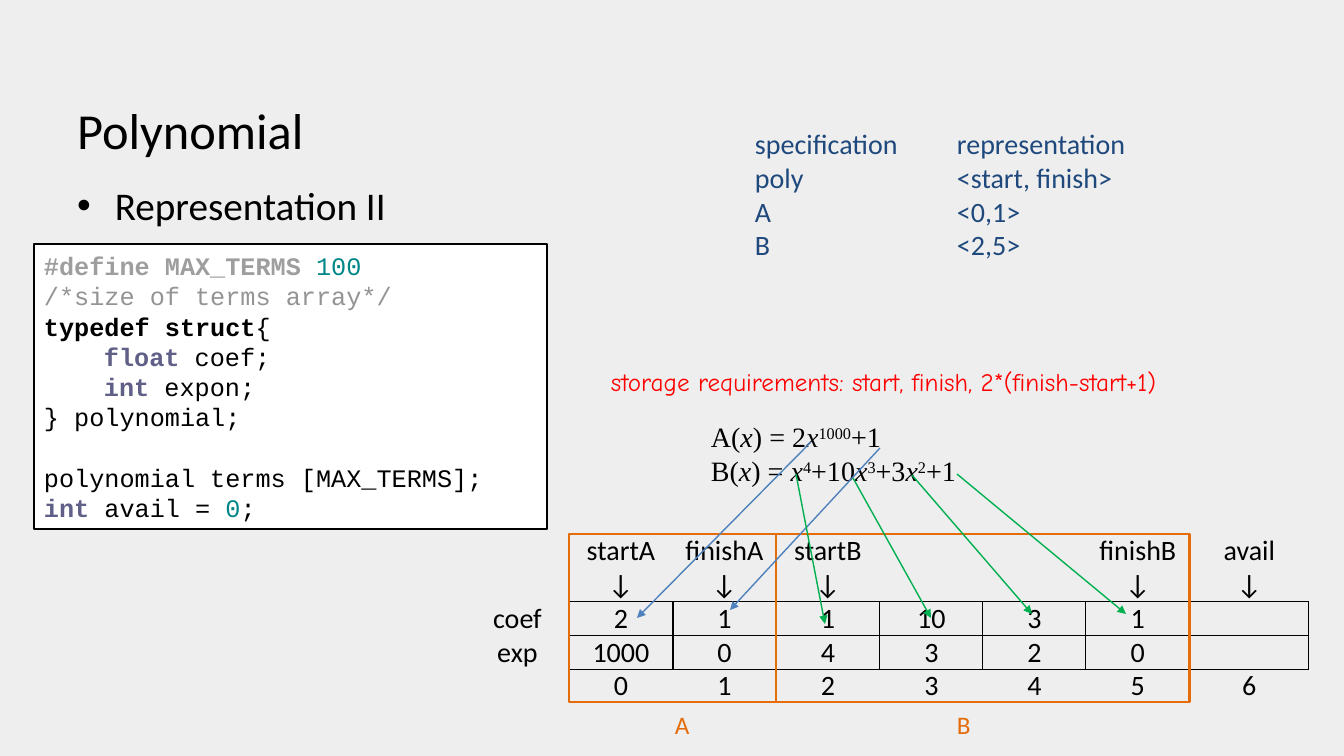
"""Build the slide on polynomial representation II with its shared term array."""
from itertools import accumulate

from lxml.etree import SubElement
from pptx import Presentation
from pptx.dml.color import RGBColor
from pptx.enum.shapes import MSO_CONNECTOR, MSO_SHAPE
from pptx.enum.text import MSO_ANCHOR, PP_ALIGN
from pptx.oxml.ns import qn
from pptx.util import Emu, Pt

SCALE = 914400 / 100.8
COLORS = {
    "paper": "EEEEEE", "white": "FFFFFF", "black": "000000",
    "macro": "9E9E9E", "remark": "949494", "number": "008787", "type": "5F5F87",
    "spec": "1F497D", "note": "FF0000", "frame": "E46C0A",
    "arrow_a": "4F81BD", "arrow_b": "00B050",
}
HEADING = {"name": "Calibri", "size": Pt(36), "color": "black"}
BULLET = {**HEADING, "size": Pt(28)}
CELL = {**HEADING, "size": Pt(20)}
SPEC = {**CELL, "color": "spec"}
LABEL = {"name": "Calibri", "size": Pt(18), "color": "frame"}
NOTE = {"name": "Comic Neue", "size": Pt(18), "color": "note"}
FORMULA = {"name": "Times New Roman", "size": Pt(20), "color": "black"}
CODE = {"name": "Courier New", "size": Pt(18), "color": "black"}

VAR = {"italic": True}
POWER = {"baseline": 30000}
MACRO = {"color": "macro", "bold": True}
REMARK = {"color": "remark"}
KEYWORD = {"bold": True}
TYPE = {"color": "type", "bold": True}
NUMBER = {"color": "number"}

CODE_PITCH = Pt(21.6)
CODE_INDENT = 60
CODE_LINES = [
    (0, 0, [("#define MAX_TERMS ", MACRO), ("100", NUMBER)]),
    (0, 0, [("/*size of terms array*/", REMARK)]),
    (0, 0, [("typedef struct", KEYWORD), ("{", {})]),
    (1, 0, [("float ", TYPE), ("coef;", {})]),
    (1, 0, [("int ", TYPE), ("expon;", {})]),
    (0, 0, [("} polynomial;", {})]),
    (0, 1, [("polynomial terms [MAX_TERMS];", {})]),
    (0, 0, [("int", TYPE), (" avail = ", {}), ("0", NUMBER), (";", {})]),
]
FORMULAS = [
    [("A(", {}), ("x", VAR), (") = 2", {}), ("x", VAR), ("1000", POWER), ("+1", {})],
    [("B(", {}), ("x", VAR), (") = ", {}), ("x", VAR), ("4", POWER), ("+10", {}),
     ("x", VAR), ("3", POWER), ("+3", {}), ("x", VAR), ("2", POWER), ("+1", {})],
]
SPEC_LINES = ["specification\trepresentation", "poly\t<start, finish>", "A\t<0,1>", "B\t<2,5>"]
SPEC_TAB = 202

TERMS = [
    ["", "startA", "finishA", "startB", "", "", "finishB", "avail"],
    ["", "↓", "↓", "↓", "", "", "↓", "↓"],
    ["coef", "2", "1", "1", "10", "3", "1", ""],
    ["exp", "1000", "0", "4", "3", "2", "0", ""],
    ["", "0", "1", "2", "3", "4", "5", "6"],
]
TABLE_LEFT, TABLE_TOP = 466, 534
COLUMN_WIDTHS = [103, 104, 103, 104, 103, 103, 104, 119]
ROW_HEIGHTS = [34, 33, 34, 33, 34]
COLUMN_EDGES = list(accumulate(COLUMN_WIDTHS, initial=TABLE_LEFT))
SIDES = {"a:lnL": (0, -1), "a:lnR": (0, 1), "a:lnT": (-1, 0), "a:lnB": (1, 0)}
ARROWS = {
    "arrow_a": [(811, 442, 637, 618), (880, 448, 730, 610)],
    "arrow_b": [(796, 474, 825, 624), (853, 478, 931, 618),
                (912, 475, 1032, 614), (957, 474, 1126, 614)],
}


def px(length):
    """Turn pixels into EMU."""
    return Emu(round(length * SCALE))


def rgb(name):
    """Look up a named colour."""
    return RGBColor.from_string(COLORS[name])


def write(paragraph, runs, base):
    """Add runs, each a text with its changes to the base format."""
    for text, changes in runs:
        run = paragraph.add_run()
        run.text = text
        for key, value in {**base, **changes}.items():
            if key == "color":
                run.font.color.rgb = rgb(value)
            elif key == "baseline":
                run._r.get_or_add_rPr().set(key, str(value))
            else:
                setattr(run.font, key, value)


def write_lines(frame, lines, base):
    """Write one paragraph per line and return the paragraphs."""
    for index, runs in enumerate(lines):
        paragraph = frame.add_paragraph() if index else frame.paragraphs[0]
        write(paragraph, runs, base)
    return frame.paragraphs


def add_text(slide, box, lines, base, wrap=False):
    """Add a text box and return its paragraphs."""
    frame = slide.shapes.add_textbox(*map(px, box)).text_frame
    frame.word_wrap = wrap
    return write_lines(frame, lines, base)


def fill_placeholder(holder, box, text, base, anchor):
    """Move a placeholder and write its single line."""
    for side, length in zip(("left", "top", "width", "height"), box):
        setattr(holder, side, px(length))
    holder.text_frame.vertical_anchor = anchor
    paragraph = holder.text_frame.paragraphs[0]
    paragraph.alignment = PP_ALIGN.LEFT
    write(paragraph, [(text, {})], base)


def add_box(slide, box, line, fill=None):
    """Add an outlined rectangle, hollow unless a fill is named."""
    rectangle = slide.shapes.add_shape(MSO_SHAPE.RECTANGLE, *map(px, box))
    rectangle.shadow.inherit = False
    rectangle.line.color.rgb = rgb(line)
    rectangle.line.width = Pt(2)
    if fill:
        rectangle.fill.solid()
        rectangle.fill.fore_color.rgb = rgb(fill)
    else:
        rectangle.fill.background()
    return rectangle


def add_code(slide):
    """Add the code listing in its box."""
    listing = add_box(slide, (34, 244, 513, 285), "black", "white")
    paragraphs = write_lines(listing.text_frame, [runs for _, _, runs in CODE_LINES], CODE)
    for paragraph, (level, gap, _) in zip(paragraphs, CODE_LINES):
        layout = {"alignment": PP_ALIGN.LEFT, "line_spacing": CODE_PITCH,
                  "space_before": gap * CODE_PITCH}
        for key, value in layout.items():
            setattr(paragraph, key, Emu(value) if key == "space_before" else value)
        paragraph._p.get_or_add_pPr().set("marL", str(px(level * CODE_INDENT)))


def add_specification(slide):
    """Add the two tabbed columns of specification and representation."""
    for paragraph in add_text(slide, (745, 122, 413, 144),
                              [[(line, {})] for line in SPEC_LINES], SPEC, wrap=True):
        stops = SubElement(paragraph._p.get_or_add_pPr(), qn("a:tabLst"))
        SubElement(stops, qn("a:tab"), pos=str(px(SPEC_TAB)), algn="l")


def in_grid(row, column):
    """Tell whether a cell holds a ruled coefficient or exponent."""
    return row in (2, 3) and 1 <= column < len(COLUMN_WIDTHS)


def rule_cell(cell, row, column):
    """Draw the cell sides that touch the ruled grid and hide the others."""
    properties = cell._tc.get_or_add_tcPr()
    for tag, (down, across) in SIDES.items():
        edge = SubElement(properties, qn(tag), w=str(Pt(1)))
        if in_grid(row, column) or in_grid(row + down, column + across):
            SubElement(SubElement(edge, qn("a:solidFill")), qn("a:srgbClr"), val=COLORS["black"])
        else:
            SubElement(edge, qn("a:noFill"))


def add_terms(slide):
    """Add the table of the shared term array."""
    size = sum(COLUMN_WIDTHS), sum(ROW_HEIGHTS)
    terms = slide.shapes.add_table(len(TERMS), len(COLUMN_WIDTHS),
                                   *map(px, (TABLE_LEFT, TABLE_TOP, *size))).table
    terms.first_row = terms.horz_banding = False
    for column, width in zip(terms.columns, COLUMN_WIDTHS):
        column.width = px(width)
    for row, height in zip(terms.rows, ROW_HEIGHTS):
        row.height = px(height)
    layout = {"margin_left": px(7), "margin_right": px(7), "margin_top": 0,
              "margin_bottom": 0, "vertical_anchor": MSO_ANCHOR.MIDDLE}
    for r, texts in enumerate(TERMS):
        for c, text in enumerate(texts):
            cell = terms.cell(r, c)
            for key, value in layout.items():
                setattr(cell, key, value)
            rule_cell(cell, r, c)
            cell.fill.background()
            paragraph = cell.text_frame.paragraphs[0]
            paragraph.alignment = PP_ALIGN.CENTER
            if text:
                write(paragraph, [(text, {})], CELL)


def add_arrow(slide, ends, color):
    """Add an arrow from a term to its array slot."""
    arrow = slide.shapes.add_connector(MSO_CONNECTOR.STRAIGHT, *map(px, ends))
    arrow.line.color.rgb = rgb(color)
    arrow.line.width = Pt(1)
    SubElement(arrow.line._get_or_add_ln(), qn("a:tailEnd"), type="triangle")
    SubElement(arrow._element.spPr, qn("a:effectLst"))


def main():
    """Build and save the slide."""
    deck = Presentation()
    deck.slide_width, deck.slide_height = px(1344), px(756)
    slide = deck.slides.add_slide(deck.slide_layouts[1])
    slide.background.fill.solid()
    slide.background.fill.fore_color.rgb = rgb("paper")
    fill_placeholder(slide.shapes.title, (67, 39, 1210, 126), "Polynomial",
                     HEADING, MSO_ANCHOR.BOTTOM)
    fill_placeholder(slide.placeholders[1], (67, 176, 1210, 499), "Representation II",
                     BULLET, MSO_ANCHOR.TOP)
    add_code(slide)
    add_text(slide, (701, 415, 270, 78), FORMULAS, FORMULA)
    add_terms(slide)
    for name, first, last, label_left in (("A", 1, 3, 665), ("B", 3, 7, 947)):
        left, right = COLUMN_EDGES[first], COLUMN_EDGES[last]
        add_box(slide, (left, TABLE_TOP, right - left, sum(ROW_HEIGHTS)), "frame")
        add_text(slide, (label_left, 704, 36, 40), [[(name, {})]], LABEL)
    add_specification(slide)
    for color, arrows in ARROWS.items():
        for ends in arrows:
            add_arrow(slide, ends, color)
    add_text(slide, (601, 361, 660, 40),
             [[("storage requirements: start, finish, 2*(finish-start+1)", {})]], NOTE)
    deck.save("out.pptx")


if __name__ == "__main__":
    main()
